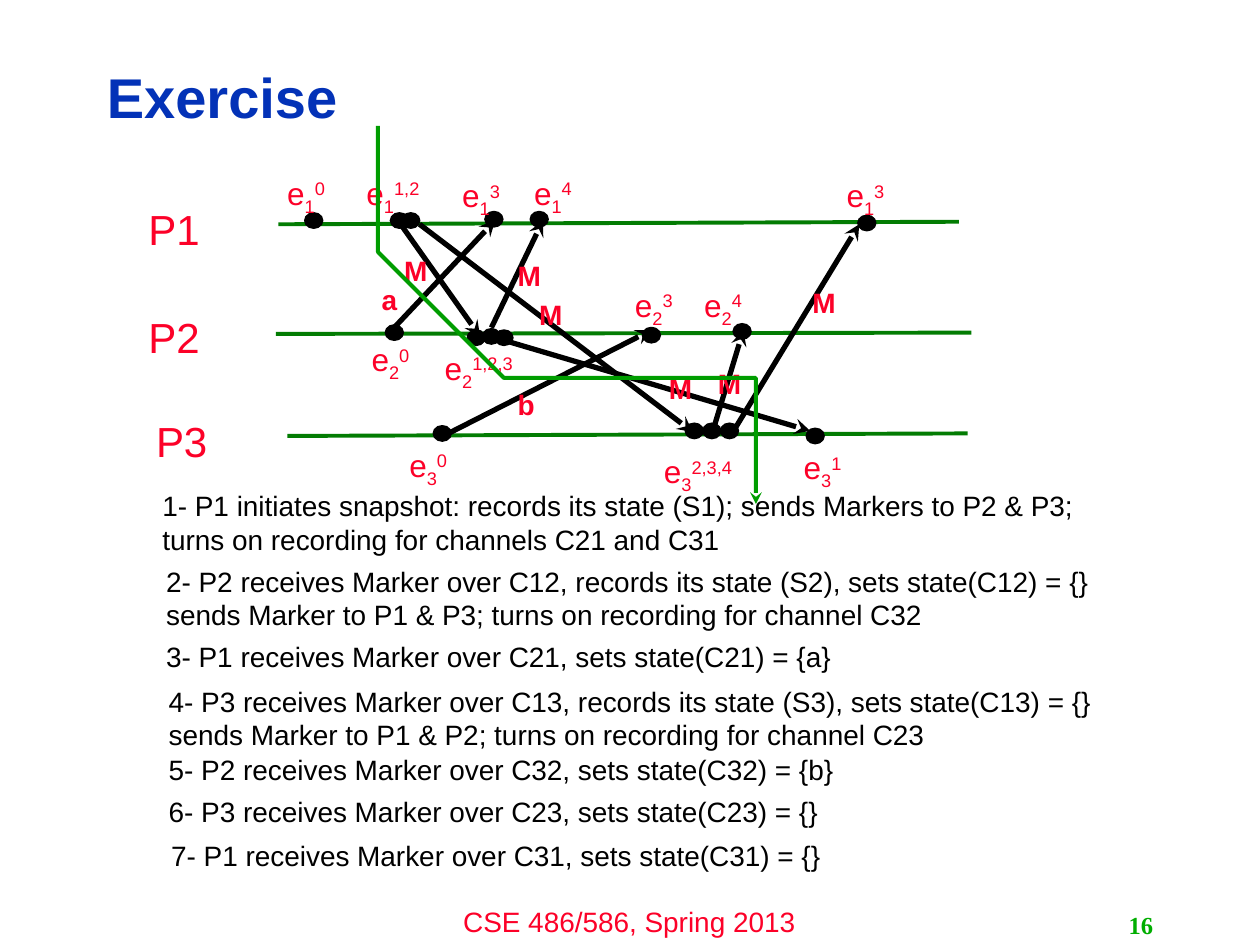
import pptx
import pptx.util
import pptx.dml.color
import pptx.enum.shapes
import pptx.enum.text
import pptx.oxml
import pptx.oxml.ns

Inches = pptx.util.Inches
Pt = pptx.util.Pt
qn = pptx.oxml.ns.qn
Align = pptx.enum.text.PP_ALIGN
Anchor = pptx.enum.text.MSO_ANCHOR

RED, BLACK, GREEN = "FC0128", "000000", "037C03"


def paint(color, code):
    color.rgb = pptx.dml.color.RGBColor.from_string(code)


def write(frame, text, size=16, color=BLACK, bold=False, font="Arial",
          align=Align.LEFT, anchor=Anchor.TOP, bases=(0,)):
    frame.word_wrap = True
    frame.vertical_anchor = anchor
    para = frame.paragraphs[0]
    para.alignment = align
    parts = [text] if isinstance(text, str) else text
    for part, base in zip(parts, bases):
        run = para.add_run()
        run.text = part
        run.font.size = Pt(size)
        run.font.name = font
        run.font.bold = bold
        paint(run.font.color, color)
        if base:
            run.font._element.set("baseline", str(base * 1000))


class Board:
    def __init__(self, slide):
        self.shapes = slide.shapes

    def text(self, x, y, w, h, text, **style):
        box = self.shapes.add_textbox(Inches(x), Inches(y), Inches(w), Inches(h))
        write(box.text_frame, text, **style)

    def event(self, x, y, proc, step, w=0.61):
        self.text(x, y, w, 0.37, ["e", proc, step], size=18, color=RED,
                  bases=(0, -25, 30))

    def stroke(self, shape, color, width, arrow):
        paint(shape.line.color, color)
        shape.line.width = Pt(width)
        if arrow:
            line = shape.line._get_or_add_ln()
            line.append(pptx.oxml.parse_xml(
                '<a:tailEnd xmlns:a="http://schemas.openxmlformats.org/'
                'drawingml/2006/main" type="stealth"/>'))

    def line(self, x1, y1, x2, y2, color=BLACK, width=3, arrow=True):
        link = self.shapes.add_connector(
            pptx.enum.shapes.MSO_CONNECTOR.STRAIGHT,
            Inches(x1), Inches(y1), Inches(x2), Inches(y2))
        self.stroke(link, color, width, arrow)
        link._element.spPr.append(pptx.oxml.parse_xml(
            '<a:effectLst xmlns:a="http://schemas.openxmlformats.org/'
            'drawingml/2006/main"/>'))

    def dot(self, x, y):
        dot = self.shapes.add_shape(
            pptx.enum.shapes.MSO_SHAPE.OVAL,
            Inches(x), Inches(y), Inches(0.14), Inches(0.12))
        dot.shadow.inherit = False
        dot.fill.solid()
        paint(dot.fill.fore_color, BLACK)
        self.stroke(dot, BLACK, 1, False)

    def curve(self, points, color, width):
        (x, y), *rest = points
        pen = self.shapes.build_freeform(x, y, scale=Inches(1))
        pen.add_line_segments(rest, close=False)
        shape = pen.convert_to_shape()
        shape.shadow.inherit = False
        shape.fill.background()
        self.stroke(shape, color, width, True)
        steps = list(shape._element.iter(qn("a:lnTo")))
        for i in range(0, len(steps), 3):
            bend = pptx.oxml.parse_xml(
                '<a:cubicBezTo xmlns:a="http://schemas.openxmlformats.org/'
                'drawingml/2006/main"/>')
            steps[i].addprevious(bend)
            for step in steps[i:i + 3]:
                bend.append(step[0])
                step.getparent().remove(step)


def main():
    deck = pptx.Presentation()
    deck.slide_width, deck.slide_height = Inches(10), Inches(7.5)
    board = Board(deck.slides.add_slide(deck.slide_layouts[6]))

    board.text(0.75, 0.36, 7.98, 0.81, "Exercise", size=32, color="0332B7",
               bold=True, anchor=Anchor.MIDDLE)
    board.text(3.33, 7.13, 3.33, 0.37, "CSE 486/586, Spring 2013", color=RED,
               align=Align.CENTER)
    board.text(7.17, 7.18, 2.08, 0.32, "16", size=14, color="00AE00", bold=True,
               font="Times New Roman", align=Align.RIGHT, anchor=Anchor.MIDDLE)

    for name, x, y, ends in [
        ("P1", 1.08, 1.57, (2.21, 1.78, 7.61, 1.76)),
        ("P2", 1.08, 2.42, (2.19, 2.65, 7.71, 2.64)),
        ("P3", 1.14, 3.25, (2.28, 3.46, 7.68, 3.44)),
    ]:
        board.text(x, y, 1.26, 0.46, name, size=24, color=RED)
        board.line(*ends, color=GREEN, width=2.25, arrow=False)

    for x, y in [
        (2.42, 1.69), (3.1, 1.69), (3.19, 1.69), (3.85, 1.68), (4.21, 1.68),
        (6.81, 1.71), (3.06, 2.58), (3.71, 2.62), (3.83, 2.61), (3.93, 2.62),
        (5.1, 2.6), (5.82, 2.57), (3.44, 3.38), (5.44, 3.36), (5.58, 3.36),
        (5.72, 3.36), (6.4, 3.4),
    ]:
        board.dot(x, y)

    for ends in [
        (3.11, 2.62, 3.93, 1.75), (3.5, 3.47, 5.17, 2.62),
        (3.18, 1.78, 3.81, 2.67), (3.33, 1.78, 5.5, 3.43),
        (3.9, 2.6, 4.31, 1.75), (4.03, 2.71, 6.43, 3.42),
        (5.67, 3.38, 5.9, 2.62), (5.81, 3.44, 6.82, 1.78),
    ]:
        board.line(*ends)

    for event in [
        (2.18, 1.33, "1", "0"), (2.81, 1.33, "1", "1,2", 0.69),
        (3.57, 1.35, "1", "3"), (4.14, 1.33, "1", "4"), (6.62, 1.35, "1", "3"),
        (2.85, 2.65, "2", "0"), (3.43, 2.72, "2", "1,2,3", 0.82),
        (4.94, 2.22, "2", "3"), (5.49, 2.22, "2", "4"),
        (3.15, 3.49, "3", "0"), (5.17, 3.54, "3", "2,3,4", 0.88),
        (6.28, 3.51, "3", "1"),
    ]:
        board.event(*event)

    for x, y, name in [
        (2.93, 2.19, "a"), (4.01, 3.03, "b"), (4.18, 2.31, "M"),
        (3.11, 1.96, "M"), (4.01, 2, "M"), (5.21, 2.9, "M"),
        (6.35, 2.22, "M"), (5.6, 2.86, "M"),
    ]:
        board.text(x, y, 0.4, 0.34, name, color=RED, bold=True)

    for x, y, w, h, note in [
        (1.19, 3.83, 7.51, 0.58, "1- P1 initiates snapshot: records its state (S1); "
         "sends Markers to P2 & P3; turns on recording for channels C21 and C31"),
        (1.22, 4.43, 7.65, 0.58, "2- P2 receives Marker over C12, records its state (S2), "
         "sets state(C12) = {} sends Marker to P1 & P3; turns on recording for channel C32"),
        (1.22, 5.03, 7.65, 0.34, "3- P1 receives Marker over C21, sets state(C21) = {a}"),
        (1.24, 5.38, 7.65, 0.58, "4- P3 receives Marker over C13, records its state (S3), "
         "sets state(C13) = {} sends Marker to P1 & P2; turns on recording for channel C23"),
        (1.24, 5.92, 7.65, 0.34, "5- P2 receives Marker over C32, sets state(C32) = {b}"),
        (1.24, 6.26, 7.65, 0.34, "6- P3 receives Marker over C23, sets state(C23) = {}"),
        (1.26, 6.61, 7.65, 0.34, "7- P1 receives Marker over C31, sets state(C31) = {}"),
    ]:
        board.text(x, y, w, h, note)

    board.curve([
        (3.01, 1.3), (3.05, 1.42), (3.09, 1.54), (3.23, 1.77),
        (3.37, 2), (3.46, 2.39), (3.87, 2.67),
        (4.27, 2.95), (5.31, 3.21), (5.65, 3.42),
        (6, 3.64), (5.96, 3.96), (5.96, 3.96),
    ], "009D00", 2.25)

    deck.save("out.pptx")


if __name__ == "__main__":
    main()
